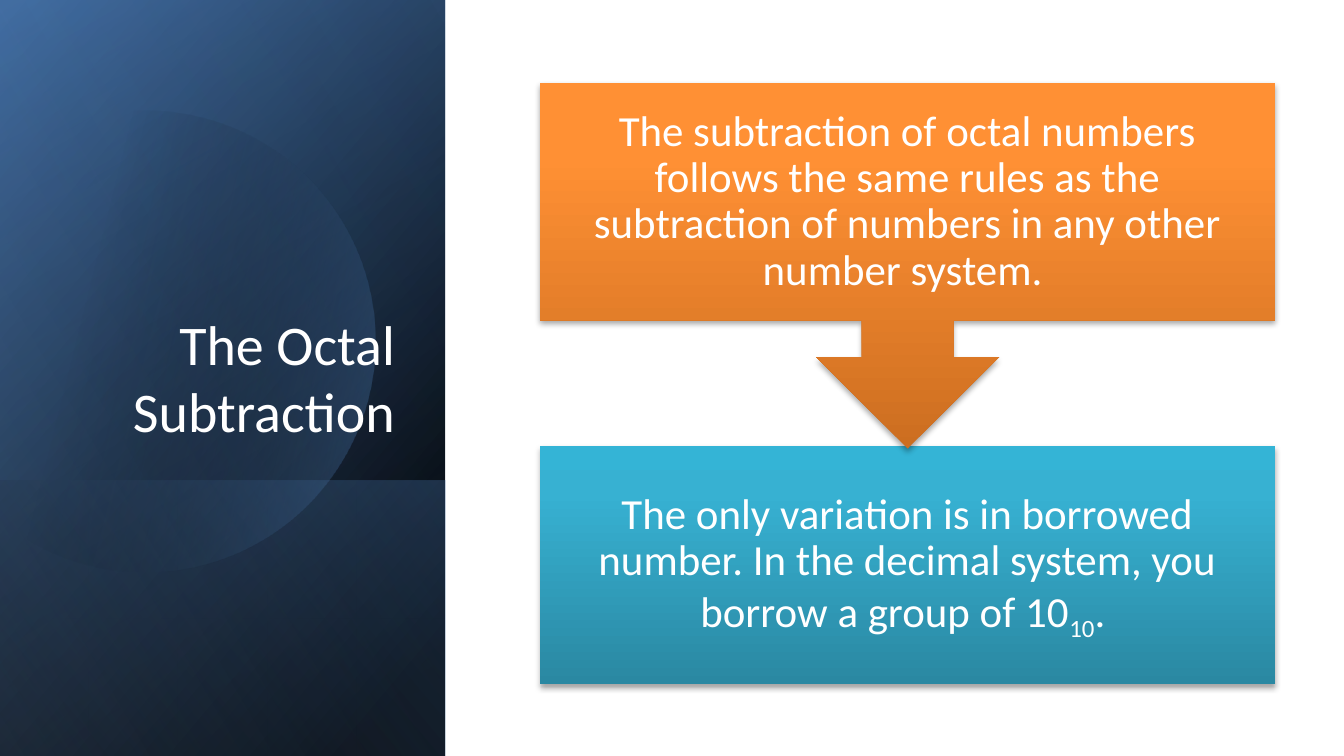
import math

from lxml import etree
from pptx import Presentation
from pptx.dml.color import RGBColor
from pptx.enum import shapes, text
from pptx.oxml import ns
from pptx.util import Cm, Pt

# Content
TITLE = "The Octal Subtraction"
RULE = [("The subtraction of octal numbers follows the same rules as the "
         "subtraction of numbers in any other number system. ", 0)]
VARIATION = [("The only variation is in borrowed number. In the decimal system, "
              "you borrow a group of 10", 0), ("10", -25), (". ", 0)]

# Sizes in cm
PAGE_W, PAGE_H = 25.4, 14.29
PANEL_W = 8.41
LOWER_H = 5.21
BOX_X, BOX_W = 10.21, 13.89
FONT = "Calibri"

# Panel layers: top, height, angle, stops of (position, colour, opacity)
LAYERS = [
    (0, PAGE_H, 50, [(8, "000000", 100), (100, "376092", 100)]),
    (0, PAGE_H, 30, [(0, "000000", 0), (99, "4F81BD", 46)]),
    (PAGE_H - LOWER_H, LOWER_H, 130, [(2, "4F81BD", 29), (100, "000000", 30)]),
]
SHEEN = (0, PAGE_H, 120, [(0, "000000", 0), (99, "95B3D7", 11)])
DISC = {"x": 2.74, "y": 6.45, "radius": 4.36, "left": -0.28}
DISC_STOPS = [(29, "000000", 0), (100, "4F81BD", 43)]

# Flow boxes: preset, top, height, stops, text; drawn from back to front
BOXES = [
    (shapes.MSO_SHAPE.RECTANGLE, 8.43, 4.5,
     [(0, "2A88A2", 100), (80, "37B1D2", 100), (100, "34B4D6", 100)], VARIATION),
    (shapes.MSO_SHAPE.DOWN_ARROW_CALLOUT, 1.57, 6.91,
     [(0, "CC6E20", 100), (80, "FF9034", 100), (100, "FF9136", 100)], RULE),
]


def rgb(value):
    return RGBColor.from_string(value)


def add_node(parent, tag, **attributes):
    node = etree.SubElement(parent, ns.qn(tag))
    for name, value in attributes.items():
        node.set(name, str(value))
    return node


def add_colour(parent, value, opacity):
    colour = add_node(parent, "a:srgbClr", val=value)
    if opacity < 100:
        add_node(colour, "a:alpha", val=opacity * 1000)


def paint(shape, stops, angle):
    """Gradient fill with opacity, no line, no shadow."""
    shape.shadow.inherit = False
    shape.line.fill.background()
    shape.fill.gradient()
    gradient = shape._element.spPr.find(ns.qn("a:gradFill"))
    for child in list(gradient):
        gradient.remove(child)
    gradient.set("rotWithShape", "1")
    stop_list = add_node(gradient, "a:gsLst")
    for position, value, opacity in stops:
        add_colour(add_node(stop_list, "a:gs", pos=position * 1000), value, opacity)
    add_node(gradient, "a:lin", ang=angle * 60000, scaled=0)


def add_layer(page, top, height, angle, stops):
    """Panel rectangle, mirrored and turned a quarter."""
    left = (PANEL_W - height) / 2
    turned_top = top + (height - PANEL_W) / 2
    layer = page.shapes.add_shape(shapes.MSO_SHAPE.RECTANGLE, Cm(left),
                                  Cm(turned_top), Cm(height), Cm(PANEL_W))
    layer.rotation = 90
    layer._element.spPr.xfrm.set("flipH", "1")
    paint(layer, stops, angle)


def add_disc(page):
    """Circle cut off by a vertical line at its left."""
    radius = DISC["radius"]
    limit = math.acos((DISC["left"] - DISC["x"]) / radius)
    steps = 120
    angles = [limit * (2 * step / steps - 1) for step in range(steps + 1)]
    points = [(Cm(DISC["x"] + radius * math.cos(angle)),
               Cm(DISC["y"] + radius * math.sin(angle))) for angle in angles]
    builder = page.shapes.build_freeform(*points[0])
    builder.add_line_segments(points[1:], close=True)
    paint(builder.convert_to_shape(), DISC_STOPS, 14)


def add_box(page, preset, top, height, stops, spans):
    box = page.shapes.add_shape(preset, Cm(BOX_X), Cm(top), Cm(BOX_W), Cm(height))
    paint(box, stops, 270)
    effects = box._element.spPr.find(ns.qn("a:effectLst"))
    shadow = add_node(effects, "a:outerShdw", blurRad=Pt(3.1), dist=Pt(1.8),
                      dir=90 * 60000, rotWithShape=0)
    add_colour(shadow, "000000", 35)

    frame = box.text_frame
    frame.word_wrap = True
    frame.vertical_anchor = text.MSO_ANCHOR.MIDDLE
    frame.margin_left = frame.margin_right = Cm(0.46)
    frame.margin_top = frame.margin_bottom = Cm(0.46)
    para = frame.paragraphs[0]
    para.line_spacing = 0.9
    style(para, 23, text.PP_ALIGN.CENTER)
    for words, baseline in spans:
        span = para.add_run()
        span.text = words
        if baseline:
            span._r.get_or_add_rPr().set("baseline", str(baseline * 1000))


def style(para, size, alignment):
    para.alignment = alignment
    para.font.name = FONT
    para.font.size = Pt(size)
    para.font.color.rgb = rgb("FFFFFF")


def main():
    deck = Presentation()
    deck.slide_width, deck.slide_height = Cm(PAGE_W), Cm(PAGE_H)
    page = deck.slides.add_slide(deck.slide_layouts[5])
    title = page.shapes.title

    # Dark panel
    for layer in LAYERS:
        add_layer(page, *layer)
    add_disc(page)
    add_layer(page, *SHEEN)

    # Title, brought in front of the panel
    page.shapes._spTree.append(title._element)
    title.left, title.top = Cm(1.22), Cm(3.51)
    title.width, title.height = Cm(6.5), Cm(5)
    title.text_frame.text = TITLE
    title.text_frame.word_wrap = True
    title.text_frame.auto_size = text.MSO_AUTO_SIZE.NONE
    title.text_frame.vertical_anchor = text.MSO_ANCHOR.BOTTOM
    style(title.text_frame.paragraphs[0], 30, text.PP_ALIGN.RIGHT)

    # Flow boxes
    for box in BOXES:
        add_box(page, *box)

    deck.save("out.pptx")


if __name__ == "__main__":
    main()
